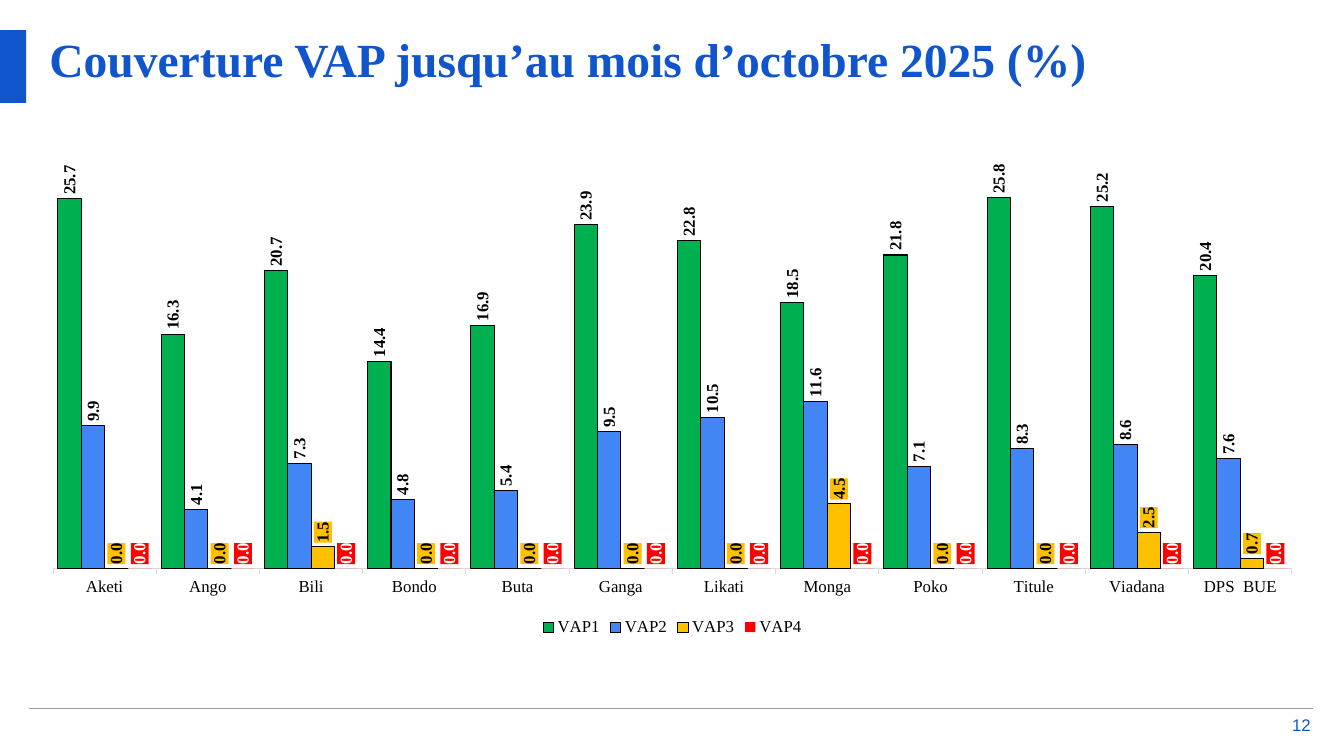
from lxml import etree
from pptx import Presentation
from pptx.chart.data import CategoryChartData
from pptx.dml.color import RGBColor
from pptx.enum.chart import (
    XL_CHART_TYPE, XL_LABEL_POSITION, XL_LEGEND_POSITION, XL_TICK_MARK)
from pptx.enum.shapes import MSO_CONNECTOR, MSO_SHAPE
from pptx.enum.text import MSO_ANCHOR, MSO_AUTO_SIZE, PP_ALIGN
from pptx.oxml import parse_xml
from pptx.oxml.ns import nsdecls, qn
from pptx.util import Inches, Pt

COLUMN = XL_CHART_TYPE.COLUMN_CLUSTERED
OUTSIDE = XL_LABEL_POSITION.OUTSIDE_END
BOTTOM = XL_LEGEND_POSITION.BOTTOM
TICK_OUT = XL_TICK_MARK.OUTSIDE
STRAIGHT = MSO_CONNECTOR.STRAIGHT
RECT = MSO_SHAPE.RECTANGLE
TOP, MIDDLE = MSO_ANCHOR.TOP, MSO_ANCHOR.MIDDLE
NO_FIT = MSO_AUTO_SIZE.NONE
LEFT, RIGHT = PP_ALIGN.LEFT, PP_ALIGN.RIGHT

HEX = {"blue": "1155CC", "rule": "9E9E9E", "axis": "D9D9D9", "black": "000000",
       "white": "FFFFFF", "green": "00B050", "sky": "4285F4", "gold": "FFC000",
       "red": "FF0000"}
SERIF, SANS = "Times New Roman", "Arial"

ZONES = ["Aketi", "Ango", "Bili", "Bondo", "Buta", "Ganga", "Likati", "Monga",
         "Poko", "Titule", "Viadana", "DPS  BUE"]
ROUNDS = {
    "VAP1": [25.7, 16.3, 20.7, 14.4, 16.9, 23.9, 22.8, 18.5, 21.8, 25.8, 25.2, 20.4],
    "VAP2": [9.9, 4.1, 7.3, 4.8, 5.4, 9.5, 10.5, 11.6, 7.1, 8.3, 8.6, 7.6],
    "VAP3": [0, 0, 1.5, 0, 0, 0, 0, 4.5, 0, 0, 2.5, 0.7],
    "VAP4": [0] * len(ZONES),
}
LOOKS = [("green", "black", "black", None), ("sky", "black", "black", None),
         ("gold", "black", "black", "gold"), ("red", None, "white", "red")]
PLOT = {"x": 0.02, "y": 0.02, "w": 0.96, "h": 0.84}


class Deck:
    """Hold the style and the current slide, and add each kind of element."""

    def __init__(self):
        self.file = Presentation()
        self.file.slide_width, self.file.slide_height = Inches(13.33), Inches(7.5)
        self.slide = self.file.slides.add_slide(self.file.slide_layouts[5])

    def tint(self, name):
        return RGBColor.from_string(HEX[name])

    def style(self, font, size, face, color, bold=False):
        font.size, font.name, font.bold = Pt(size), face, bold
        font.color.rgb = self.tint(color)

    def words(self, shape, text, size, face, color, bold, align, anchor):
        frame = shape.text_frame
        frame.word_wrap, frame.auto_size = True, NO_FIT
        frame.vertical_anchor = anchor
        frame.margin_left = frame.margin_right = 0
        frame.margin_top = frame.margin_bottom = 0
        para = frame.paragraphs[0]
        para.alignment = align
        run = para.add_run()
        run.text = text
        self.style(run.font, size, face, color, bold)

    def title(self, x, y, w, h, text):
        head = self.slide.shapes.title
        head.left, head.top = Inches(x), Inches(y)
        head.width, head.height = Inches(w), Inches(h)
        self.words(head, text, 34, SERIF, "blue", True, LEFT, TOP)

    def label(self, x, y, w, h, text):
        box = self.slide.shapes.add_textbox(Inches(x), Inches(y), Inches(w), Inches(h))
        self.words(box, text, 12, SANS, "blue", False, RIGHT, MIDDLE)

    def block(self, x, y, w, h, color):
        bar = self.slide.shapes.add_shape(RECT, Inches(x), Inches(y), Inches(w), Inches(h))
        bar.shadow.inherit = False
        bar.fill.solid()
        bar.fill.fore_color.rgb = self.tint(color)
        bar.line.fill.background()

    def rule(self, x, y, end, color):
        line = self.slide.shapes.add_connector(
            STRAIGHT, Inches(x), Inches(y), Inches(end), Inches(y))
        line.line.color.rgb, line.line.width = self.tint(color), Pt(1)
        etree.SubElement(line._element.spPr, qn("a:effectLst"))

    def chart(self, x, y, w, h):
        data = CategoryChartData(number_format="0.0")
        data.categories = ZONES
        for name, vals in ROUNDS.items():
            data.add_series(name, vals)
        chart = self.slide.shapes.add_chart(
            COLUMN, Inches(x), Inches(y), Inches(w), Inches(h), data).chart
        self.style(chart.font, 12, SERIF, "black")
        chart.has_title = False
        chart.has_legend = True
        chart.legend.position, chart.legend.include_in_layout = BOTTOM, False
        self.style(chart.legend.font, 12, SERIF, "black")
        self.axes(chart)
        plot = chart.plots[0]
        plot.gap_width, plot.overlap, plot.vary_by_categories = 42, 0, False
        for series, look in zip(plot.series, LOOKS):
            self.bars(series, *look)
        self.place(chart)

    def axes(self, chart):
        scale = chart.value_axis
        scale.minimum_scale, scale.maximum_scale = 0, 30
        scale.has_major_gridlines = scale.visible = False
        scale.tick_labels.number_format = "0.0"
        scale.tick_labels.number_format_is_linked = False
        base = chart.category_axis
        base.major_tick_mark = TICK_OUT
        base.format.line.color.rgb = self.tint("axis")
        base.format.line.width = Pt(0.75)
        self.style(base.tick_labels.font, 12, SERIF, "black")

    def bars(self, series, color, edge, ink, back):
        series.invert_if_negative = False
        series.format.fill.solid()
        series.format.fill.fore_color.rgb = self.tint(color)
        if edge:
            series.format.line.color.rgb = self.tint(edge)
            series.format.line.width = Pt(0.75)
        else:
            series.format.line.fill.background()
        tags = series.data_labels
        tags.show_value, tags.position = True, OUTSIDE
        tags.number_format, tags.number_format_is_linked = "0.0", False
        self.style(tags.font, 12, SERIF, ink, True)
        text = tags._element.find(qn("c:txPr"))
        body = text.find(qn("a:bodyPr"))
        body.set("rot", "-5400000")
        body.set("vert", "horz")
        if back:
            text.addprevious(parse_xml(
                f'<c:spPr {nsdecls("c", "a")}><a:solidFill>'
                f'<a:srgbClr val="{HEX[back]}"/></a:solidFill></c:spPr>'))

    def place(self, chart):
        area = chart._chartSpace.find(".//" + qn("c:plotArea"))
        for old in area.findall(qn("c:layout")):
            area.remove(old)
        sides = "".join(f'<c:{key}Mode val="edge"/>' for key in "xy")
        sides += "".join(f'<c:{key} val="{val}"/>' for key, val in PLOT.items())
        area.insert(0, parse_xml(
            f'<c:layout {nsdecls("c")}><c:manualLayout>'
            f'<c:layoutTarget val="inner"/>{sides}</c:manualLayout></c:layout>'))


def main():
    deck = Deck()
    deck.title(0.49, 0.3, 12.33, 0.8, "Couverture VAP jusqu’au mois d’octobre 2025 (%)")
    deck.block(0, 0.3, 0.26, 0.72, "blue")
    deck.label(12.75, 7.1, 0.25, 0.18, "12")
    deck.rule(0.29, 7.03, 13.02, "rule")
    deck.chart(0.27, 1.26, 12.8, 5.09)
    deck.file.save("out.pptx")


if __name__ == "__main__":
    main()
